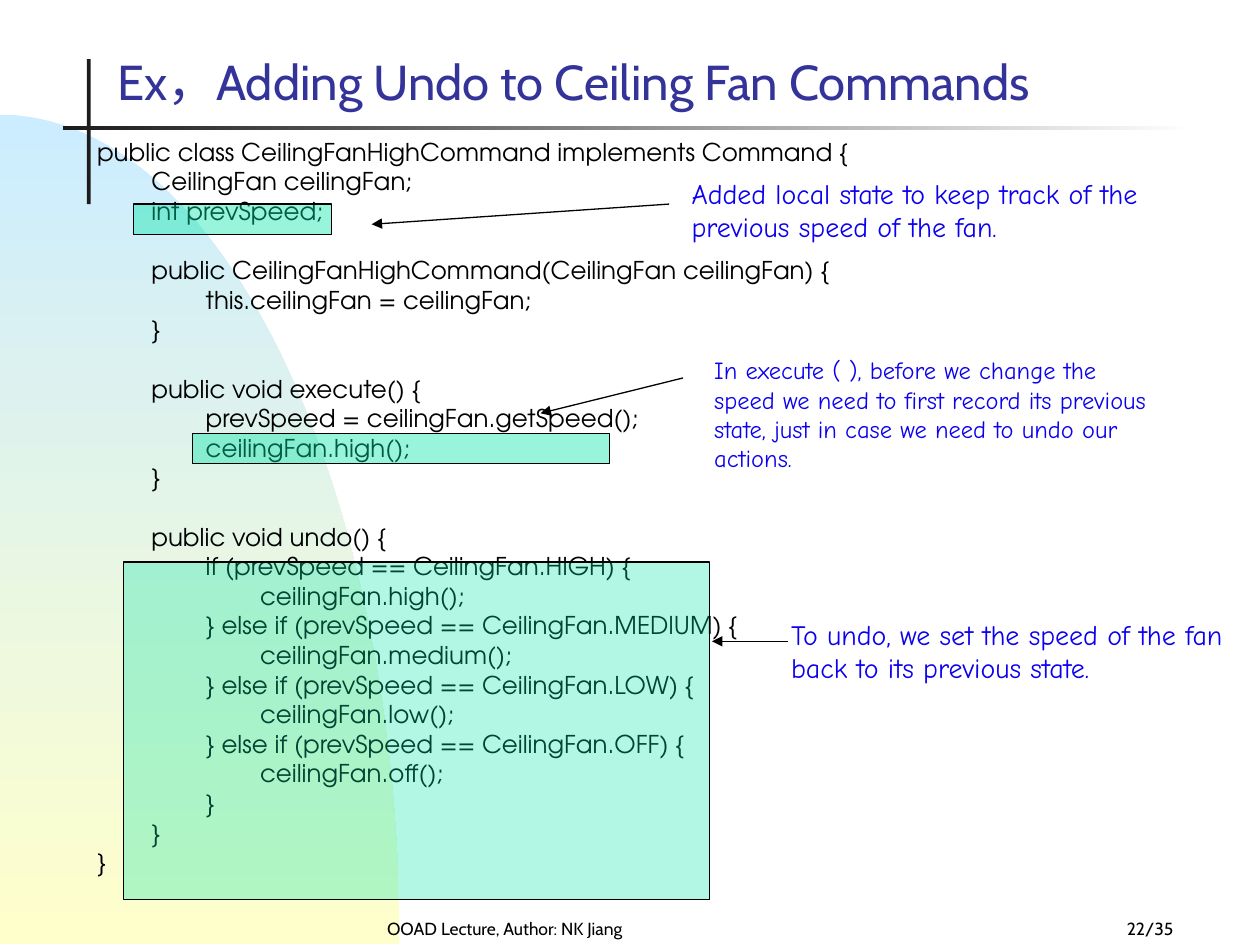
from lxml import etree
from pptx import Presentation
from pptx.dml.color import RGBColor
from pptx.enum.shapes import MSO_CONNECTOR, MSO_SHAPE
from pptx.enum.text import MSO_ANCHOR, MSO_AUTO_SIZE, PP_ALIGN
from pptx.oxml.ns import qn
from pptx.util import Inches, Pt

RECTANGLE = MSO_SHAPE.RECTANGLE
STRAIGHT = MSO_CONNECTOR.STRAIGHT
TOP, BOTTOM = MSO_ANCHOR.TOP, MSO_ANCHOR.BOTTOM
LEFT, CENTER, RIGHT = PP_ALIGN.LEFT, PP_ALIGN.CENTER, PP_ALIGN.RIGHT
NO_FIT, GROW = MSO_AUTO_SIZE.NONE, MSO_AUTO_SIZE.SHAPE_TO_FIT_TEXT

BLACK = RGBColor(0x00, 0x00, 0x00)
WHITE = RGBColor(0xFF, 0xFF, 0xFF)
CHARCOAL = RGBColor(0x1C, 0x1C, 0x1C)
SKY = RGBColor(0xCC, 0xEC, 0xFF)
CREAM = RGBColor(0xFF, 0xFF, 0xCC)
TITLE_BLUE = RGBColor(0x33, 0x33, 0x99)
NOTE_BLUE = RGBColor(0x0C, 0x00, 0xEE)
MINT = RGBColor(0x00, 0xE4, 0xA8)

TITLE_FONT = "Cabin"
CODE_FONT = "TeX Gyre Adventor"
NOTE_FONT = "Comic Neue"

CODE_BLOCKS = [
    [
        "public class CeilingFanHighCommand implements Command {",
        "        CeilingFan ceilingFan;",
        "        int prevSpeed;",
    ],
    [
        "        public CeilingFanHighCommand(CeilingFan ceilingFan) {",
        "                this.ceilingFan = ceilingFan;",
        "        }",
    ],
    [
        "        public void execute() {",
        "                prevSpeed = ceilingFan.getSpeed();",
        "                ceilingFan.high();",
        "        }",
    ],
    [
        "        public void undo() {",
        "                if (prevSpeed == CeilingFan.HIGH) {",
        "                        ceilingFan.high();",
        "                } else if (prevSpeed == CeilingFan.MEDIUM) {",
        "                        ceilingFan.medium();",
        "                } else if (prevSpeed == CeilingFan.LOW) {",
        "                        ceilingFan.low();",
        "                } else if (prevSpeed == CeilingFan.OFF) {",
        "                        ceilingFan.off();",
        "                }",
        "        }",
        "}",
    ],
]
LINE_GAP = 3.5
LINE_PITCH = 16.9


def set_font(para, name, size, color):
    para.font.name = name
    para.font.size = Pt(size)
    para.font.color.rgb = color


def fill_gradient(shape, start, end, angle):
    shape.fill.gradient()
    shape.fill.gradient_angle = angle
    for stop, color in zip(shape.fill.gradient_stops, (start, end)):
        stop.color.rgb = color


deck = Presentation()
deck.slide_width = Inches(10)
deck.slide_height = Inches(7.5)
page = deck.slides.add_slide(deck.slide_layouts[1])
title, body = page.placeholders

arc_points = []
for step in range(1, 41):
    t = step / 40
    s = 1 - t
    x = 3 * s * t**2 * 3.17 + 3 * s**2 * t * 1.75 + t**3 * 3.17
    y = s**3 * 0.91 + 3 * s**2 * t * 0.91 + 3 * s * t**2 * 3.86 + t**3 * 7.49
    arc_points.append((Inches(x), Inches(y)))
outline = page.shapes.build_freeform(0, Inches(0.91))
outline.add_line_segments(arc_points + [(0, Inches(7.49))], close=True)
arc = outline.convert_to_shape()
fill_gradient(arc, SKY, CREAM, 270)

upright = page.shapes.add_shape(RECTANGLE, Inches(0.69), Inches(0.47), Inches(0.03), Inches(1.15))
upright.fill.solid()
upright.fill.fore_color.rgb = CHARCOAL
rule = page.shapes.add_shape(RECTANGLE, Inches(0.5), Inches(1), Inches(9), Inches(0.03))
fill_gradient(rule, CHARCOAL, WHITE, 0)
for shape in (arc, upright, rule):
    shape.shadow.inherit = False
    shape.line.fill.background()

tree = page.shapes._spTree
tree.append(body._element)
body.left, body.top, body.width, body.height = Inches(0.67), Inches(1.08), Inches(8.74), Inches(6.42)
frame = body.text_frame
frame.auto_size = NO_FIT
frame.vertical_anchor = TOP
for block_number, block in enumerate(CODE_BLOCKS):
    for row, code_line in enumerate(block):
        first = block_number == 0 and row == 0
        para = frame.paragraphs[0] if first else frame.add_paragraph()
        para.text = code_line
        properties = para._p.get_or_add_pPr()
        properties.set("marL", str(Inches(0.38)))
        properties.set("indent", str(Inches(-0.38)))
        etree.SubElement(properties, qn("a:buNone"))
        para.line_spacing = 0.8
        block_gap = LINE_PITCH if row == 0 else 0
        para.space_before = Pt(0 if first else LINE_GAP + block_gap)
        set_font(para, CODE_FONT, 14, BLACK)

highlights = [
    (1.06, 1.62, 1.57, 0.24, 40),
    (1.53, 3.44, 3.31, 0.24, 40),
    (0.98, 4.46, 4.65, 2.68, 30),
]
for left, top, width, height, opacity in highlights:
    box = page.shapes.add_shape(RECTANGLE, Inches(left), Inches(top), Inches(width), Inches(height))
    box.shadow.inherit = False
    box.fill.solid()
    box.fill.fore_color.rgb = MINT
    color = box.fill._xPr.find(".//" + qn("a:srgbClr"))
    etree.SubElement(color, qn("a:alpha"), val=str(opacity * 1000))
    box.line.color.rgb = BLACK
    box.line.width = Pt(0.75)

tree.append(title._element)
title.left, title.top, title.width, title.height = Inches(0.83), Inches(0.36), Inches(8.53), Inches(0.57)
title.text_frame.text = "Ex，Adding Undo to Ceiling Fan Commands"
title.text_frame.auto_size = NO_FIT
title.text_frame.vertical_anchor = BOTTOM
para = title.text_frame.paragraphs[0]
para.alignment = LEFT
set_font(para, TITLE_FONT, 28, TITLE_BLUE)

arrows = [(5.31, 1.62, 2.95, 1.78), (5.42, 3, 4.29, 3.28), (6.25, 5.09, 5.65, 5.09)]
for start_x, start_y, end_x, end_y in arrows:
    arrow = page.shapes.add_connector(
        STRAIGHT, Inches(start_x), Inches(start_y), Inches(end_x), Inches(end_y)
    )
    arrow.line.color.rgb = BLACK
    arrow.line.width = Pt(0.75)
    etree.SubElement(arrow.line._get_or_add_ln(), qn("a:tailEnd"), type="triangle")
    etree.SubElement(arrow._element.spPr, qn("a:effectLst"))

NOTE = (NOTE_FONT, NOTE_BLUE, LEFT, TOP, GROW)
FOOTER = (TITLE_FONT, BLACK)
texts = [
    (5.39, 1.35, 4.02, 0.64, 16, NOTE,
     "Added local state to keep track of the previous speed of the fan."),
    (5.57, 2.77, 3.77, 1.04, 14, NOTE,
     "In execute ( ), before we change the speed we need to first record its previous "
     "state, just in case we need to undo our actions."),
    (6.18, 4.85, 3.82, 0.64, 16, NOTE,
     "To undo, we set the speed of the fan back to its previous state."),
    (2.42, 7.17, 3.17, 0.33, 10, FOOTER + (CENTER, BOTTOM, NO_FIT),
     "OOAD Lecture, Author: NK Jiang"),
    (7.33, 7.17, 2.08, 0.33, 10, FOOTER + (RIGHT, BOTTOM, NO_FIT), "22/35"),
]
for left, top, width, height, size, style, words in texts:
    font_name, color, alignment, anchor, fit = style
    box = page.shapes.add_textbox(Inches(left), Inches(top), Inches(width), Inches(height))
    frame = box.text_frame
    frame.word_wrap = True
    frame.auto_size = fit
    frame.vertical_anchor = anchor
    frame.text = words
    para = frame.paragraphs[0]
    para.alignment = alignment
    set_font(para, font_name, size, color)

deck.save("out.pptx")
